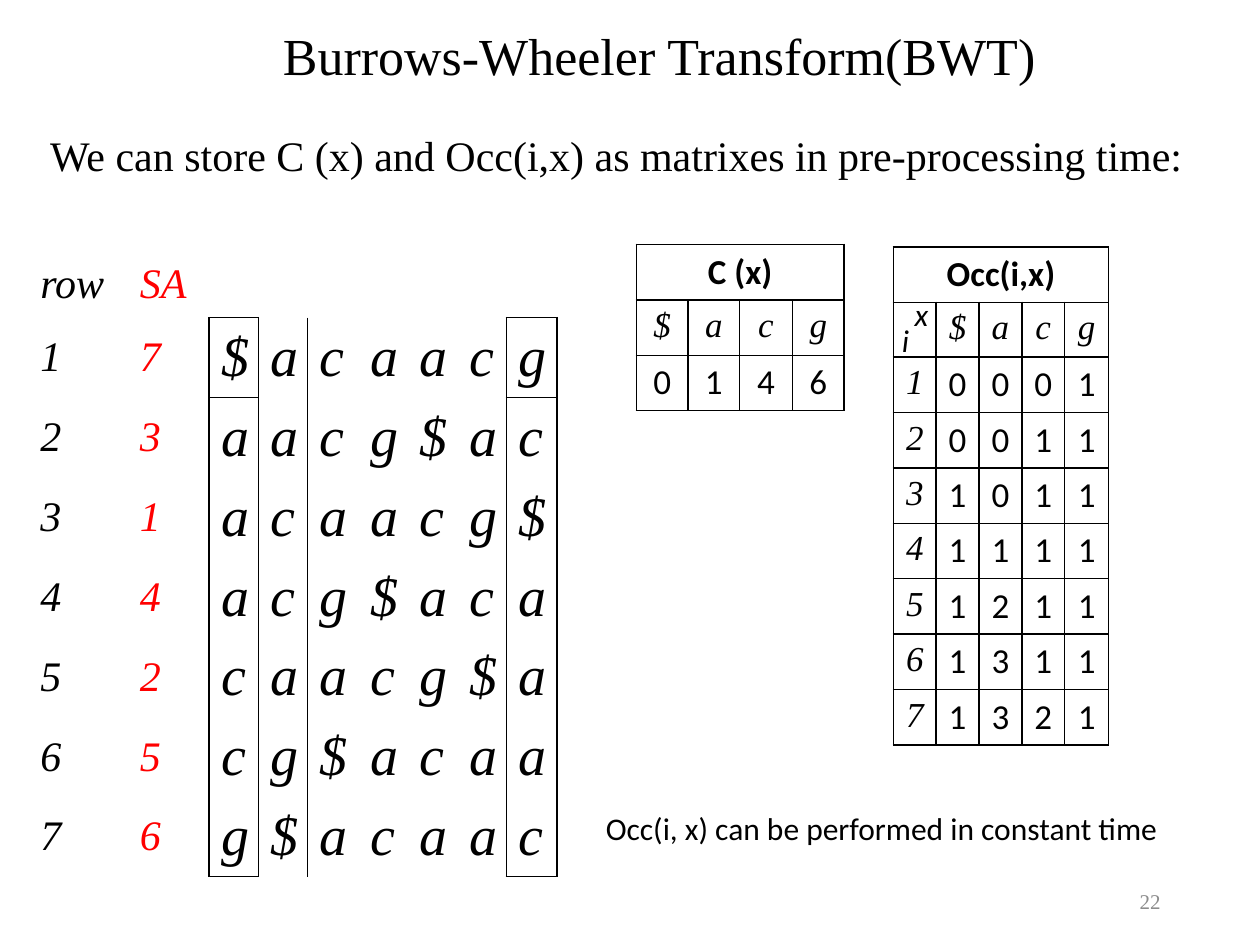
"""Build the slide on storing C(x) and Occ(i,x) for the Burrows-Wheeler Transform."""
from lxml.etree import SubElement
from pptx import Presentation
from pptx.dml.color import RGBColor
from pptx.enum.text import MSO_ANCHOR, PP_ALIGN
from pptx.oxml.ns import qn
from pptx.util import Inches, Pt

BLACK = RGBColor(0x00, 0x00, 0x00)
RED = RGBColor(0xFF, 0x00, 0x00)
GRAY = RGBColor(0x8C, 0x8C, 0x8C)
WHITE = RGBColor(0xFF, 0xFF, 0xFF)
SERIF = "Times New Roman"
SANS = "Calibri"
PLAIN_STYLE = "{2D5ABB26-0587-4C30-8999-92F81FD0307C}"
SEQUENCE = "acaacg$"
ALPHABET = "$acg"
SUFFIX_ARRAY = [7, 3, 1, 4, 2, 5, 6]


def style_text(frame, text, size, font=SERIF, color=BLACK, bold=False, italic=False,
               align=PP_ALIGN.LEFT):
    frame.text = text
    paragraph = frame.paragraphs[0]
    paragraph.alignment = align
    for run in paragraph.runs:
        run.font.name = font
        run.font.size = Pt(size)
        run.font.color.rgb = color
        run.font.bold = bold
        run.font.italic = italic
    return paragraph


def add_label(slide, box, text, size, anchor=MSO_ANCHOR.TOP, wrap=True, spacing=None, **style):
    frame = slide.shapes.add_textbox(*map(Inches, box)).text_frame
    frame.word_wrap = wrap
    frame.vertical_anchor = anchor
    style_text(frame, text, size, **style).line_spacing = spacing


def add_grid(slide, left, top, widths, heights):
    frame = slide.shapes.add_table(len(heights), len(widths), Inches(left), Inches(top),
                                   Inches(sum(widths)), Inches(sum(heights)))
    table = frame.table
    table.first_row = table.horz_banding = False
    table._tbl.tblPr.find(qn("a:tableStyleId")).text = PLAIN_STYLE
    for column, width in zip(table.columns, widths):
        column.width = Inches(width)
    for row, height in zip(table.rows, heights):
        row.height = Inches(height)
    return table


def add_borders(cell, sides="LRTB"):
    properties = cell._tc.get_or_add_tcPr()
    for side in sides:
        line = SubElement(properties, qn(f"a:ln{side}"), w=str(Pt(1)))
        fill = SubElement(line, qn("a:solidFill"))
        SubElement(fill, qn("a:srgbClr"), val=str(BLACK))


def add_rotations(slide, rotations):
    widths = [0.79, 0.65] + [0.39, 0.39, 0.4, 0.39, 0.4, 0.39, 0.4]
    last = len(rotations)
    table = add_grid(slide, 0.22, 2.02, widths, [0.47] + [0.63] * last)
    style_text(table.cell(0, 0).text_frame, "row", 24, italic=True)
    style_text(table.cell(0, 1).text_frame, "SA", 24, color=RED, italic=True)
    for row, (start, rotation) in enumerate(zip(SUFFIX_ARRAY, rotations), 1):
        for column, text in enumerate([str(row), str(start), *rotation]):
            cell = table.cell(row, column)
            cell.vertical_anchor = MSO_ANCHOR.MIDDLE
            style_text(cell.text_frame, text, 24 if column < 2 else 32,
                       color=RED if column == 1 else BLACK, italic=True)
    for column in (2, len(widths) - 1):
        add_borders(table.cell(0, column), "B")
        for row in range(1, last + 1):
            add_borders(table.cell(row, column),
                        "LR" + "T" * (row == 1) + "B" * (row == last))
            add_borders(table.cell(row, column - 1), "R")
            if column == 2:
                add_borders(table.cell(row, column + 1), "L")


def add_lookup(slide, left, top, widths, heights, title, rows, index_columns=0):
    table = add_grid(slide, left, top, widths, heights)
    for row, values in enumerate([[title] + [""] * (len(widths) - 1), *rows]):
        for column, text in enumerate(values):
            cell = table.cell(row, column)
            cell.margin_left = cell.margin_right = Inches(0.05)
            is_key = row == 1 or (row > 1 and column < index_columns)
            style_text(cell.text_frame, text, 20, font=SERIF if is_key else SANS,
                       bold=row == 0, italic=is_key, align=PP_ALIGN.CENTER)
            add_borders(cell)
            cell.fill.solid()
            cell.fill.fore_color.rgb = WHITE
    table.cell(0, 0).merge(table.cell(0, len(widths) - 1))


def main():
    presentation = Presentation()
    presentation.slide_width, presentation.slide_height = Inches(10), Inches(7.5)
    slide = presentation.slides.add_slide(presentation.slide_layouts[6])

    add_label(slide, (1.96, 0, 6.55, 0.74), "Burrows-Wheeler Transform(BWT)", 29.7,
              anchor=MSO_ANCHOR.BOTTOM, spacing=0.9, align=PP_ALIGN.CENTER)
    add_label(slide, (7.06, 6.95, 2.25, 0.4), "22", 12, anchor=MSO_ANCHOR.MIDDLE,
              color=GRAY, align=PP_ALIGN.RIGHT)
    add_label(slide, (0.3, 1.02, 9.48, 6.48),
              "We can store C (x) and Occ(i,x) as matrixes in pre-processing time:",
              24, spacing=0.9)

    rotations = [SEQUENCE[start - 1:] + SEQUENCE[:start - 1] for start in SUFFIX_ARRAY]
    add_rotations(slide, rotations)

    transform = "".join(rotation[-1] for rotation in rotations)
    smaller = [str(sum(other < letter for other in SEQUENCE)) for letter in ALPHABET]
    add_lookup(slide, 5.05, 1.94, [0.41, 0.41, 0.42, 0.41], [0.44] * 3, "C (x)",
               [list(ALPHABET), smaller])

    occurrences = [[str(i)] + [str(transform[:i].count(letter)) for letter in ALPHABET]
                   for i in range(1, len(transform) + 1)]
    add_lookup(slide, 7.09, 1.96, [0.34] * 4 + [0.35], [0.44, 0.41] + [0.44] * 7,
               "Occ(i,x)", [["", *ALPHABET], *occurrences], index_columns=1)

    add_label(slide, (4.71, 6.37, 4.7, 0.71), "Occ(i, x) can be performed in constant time",
              18, wrap=False, font=SANS)
    add_label(slide, (7.06, 2.5, 0.26, 0.4), "i", 18, wrap=False, font=SANS, italic=True)
    add_label(slide, (7.16, 2.29, 0.31, 0.4), "x", 18, wrap=False, font=SANS, italic=True)

    presentation.save("out.pptx")


if __name__ == "__main__":
    main()
